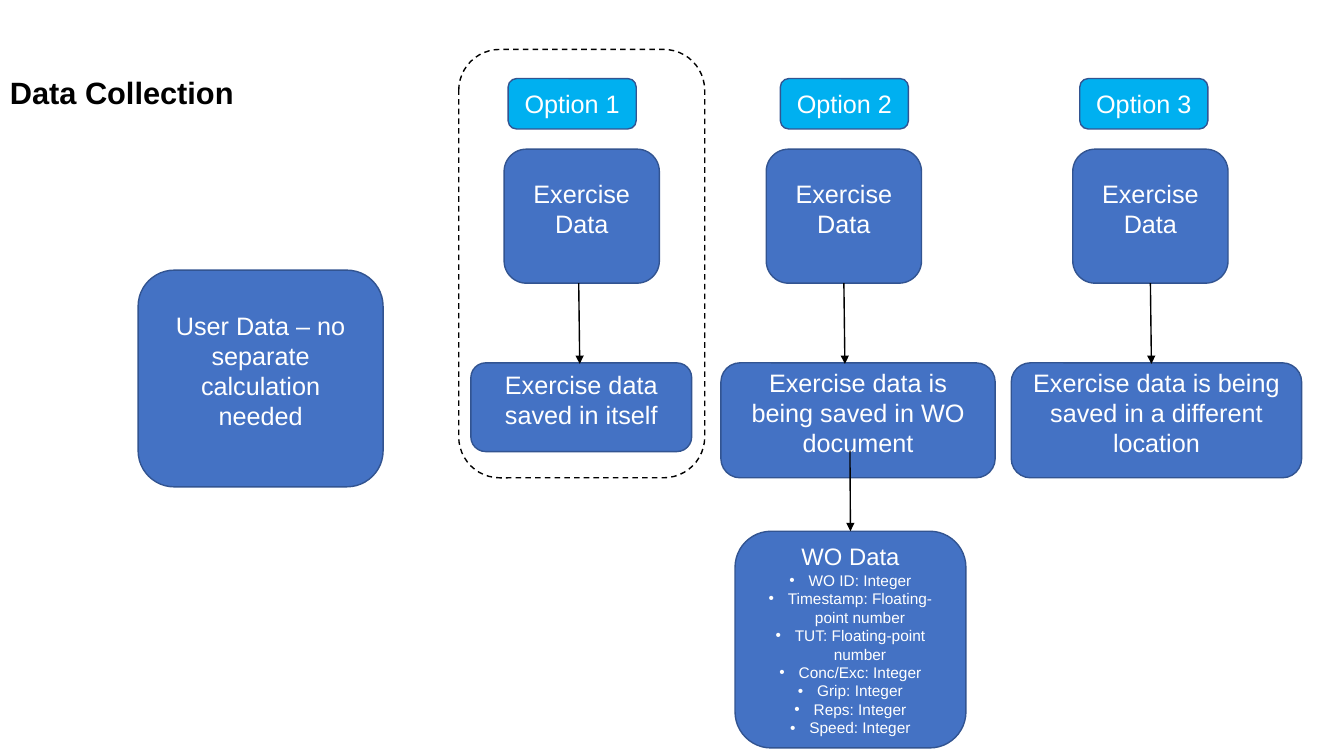
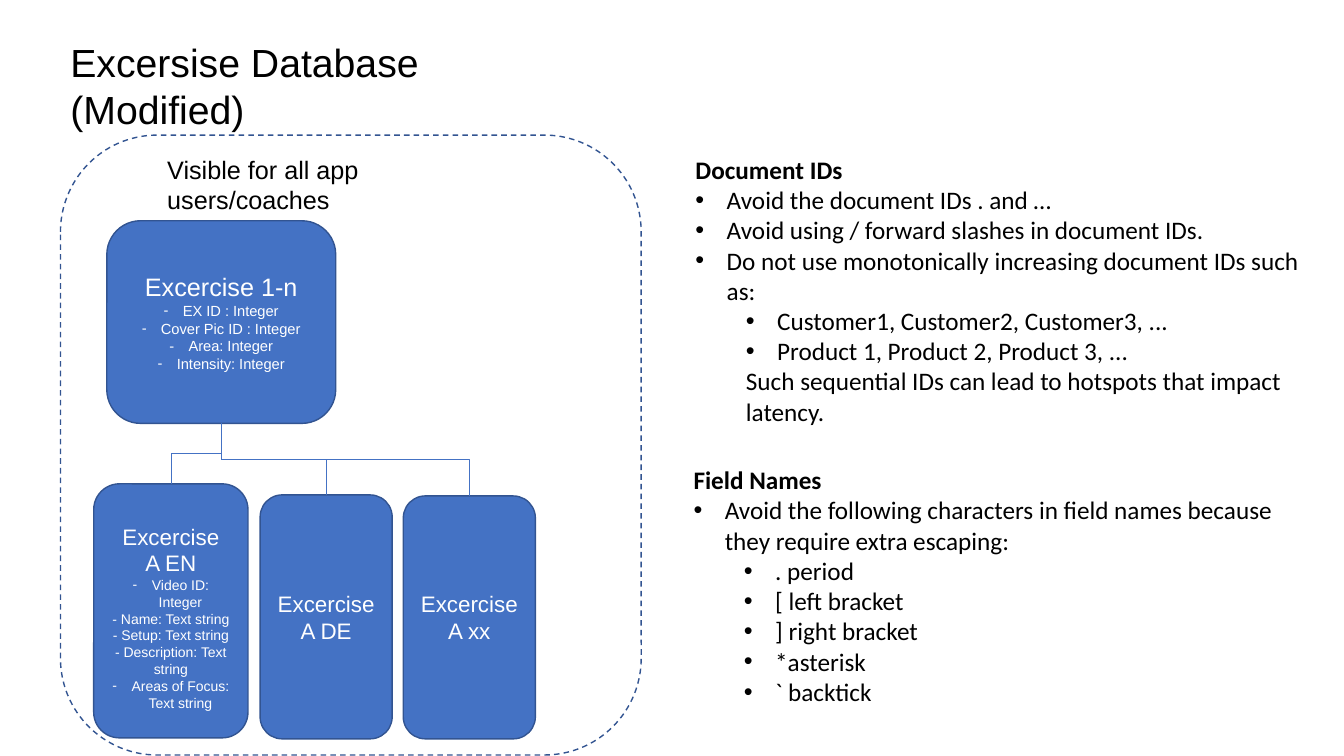
from dataclasses import dataclass

from pptx import Presentation
from pptx.dml.color import RGBColor
from pptx.enum import dml, shapes, text
from pptx.oxml import ns, xmlchemy
from pptx.util import Inches, Pt

BLUE, CYAN, EDGE = "4472C4", "00B0F0", "325491"
BLACK, WHITE = "000000", "FFFFFF"
TOP, BOTTOM = 0, 2
LEFT_ALIGN, CENTER = text.PP_ALIGN.LEFT, text.PP_ALIGN.CENTER
RAISED = (0, 0.16)  # top and bottom insets that lift the text in a box
EVEN = (0.05, 0.05)


@dataclass
class Box:
    x: float
    y: float
    w: float
    h: float


@dataclass
class Para:
    text: str
    size: float = 18
    bold: bool = False
    bullet: str = ""
    margin: float = 0
    hang: float = 0
    level: int = 0


@dataclass
class Option:
    name: str
    tag_x: float
    data_x: float
    arrow_x: float
    joined: bool
    result: str
    result_box: Box


OPTIONS = [
    Option("Option 1", 5.04, 5, 5.74, False, "Exercise data saved in itself",
           Box(4.67, 3.6, 2.19, 0.88)),
    Option("Option 2", 7.74, 7.6, 8.37, True,
           "Exercise data is being saved in WO document",
           Box(7.15, 3.6, 2.72, 1.14)),
    Option("Option 3", 10.71, 10.64, 11.41, True,
           "Exercise data is being saved in a different location",
           Box(10.03, 3.6, 2.88, 1.14)),
]


# Paragraph kinds
def field(words: str, size: float, bullet: str = "-") -> Para:
    return Para(words, size, bullet=bullet, margin=0.19, hang=0.19)


def point(words: str) -> Para:
    return Para(words, bullet="•", margin=0.31, hang=0.31)


def subpoint(words: str) -> Para:
    return Para(words, bullet="•", margin=0.81, hang=0.31, level=1)


# Shared drawing functions
def rgb(color: str) -> RGBColor:
    return RGBColor.from_string(color)


def place(box: Box) -> tuple:
    return Inches(box.x), Inches(box.y), Inches(box.w), Inches(box.h)


def add_child(parent, tag: str, **attrs: str) -> None:
    child = xmlchemy.OxmlElement(tag)
    for name, value in attrs.items():
        child.set(name, value)
    parent.append(child)


def write(tf, paras: list[Para], color: str, font: str, align) -> None:
    tf.word_wrap = True
    for i, para in enumerate(paras):
        p = tf.paragraphs[0] if i == 0 else tf.add_paragraph()
        p.text = para.text
        p.alignment = align
        p.level = para.level
        for r in p.runs:
            r.font.name = font
            r.font.size = Pt(para.size)
            r.font.bold = para.bold
            r.font.color.rgb = rgb(color)
        pPr = p._p.get_or_add_pPr()
        pPr.set("marL", str(Inches(para.margin)))
        pPr.set("indent", str(-Inches(para.hang)))
        if para.bullet:
            add_child(pPr, "a:buFont", typeface="Arial")
            add_child(pPr, "a:buChar", char=para.bullet)


def add_text(s, box: Box, paras: list[Para], font: str = "Arial"):
    tf = s.shapes.add_textbox(*place(box)).text_frame
    write(tf, paras, BLACK, font, LEFT_ALIGN)
    return tf


def add_round(s, box: Box, line: str):
    sp = s.shapes.add_shape(shapes.MSO_SHAPE.ROUNDED_RECTANGLE, *place(box))
    sp.shadow.inherit = False
    sp.line.color.rgb = rgb(line)
    sp.line.width = Pt(1)
    return sp


def add_card(s, box: Box, paras: list[Para], fill: str = BLUE,
             insets: tuple[float, float] = EVEN):
    sp = add_round(s, box, EDGE)
    sp.fill.solid()
    sp.fill.fore_color.rgb = rgb(fill)
    tf = sp.text_frame
    tf.vertical_anchor = text.MSO_ANCHOR.MIDDLE
    tf.margin_top, tf.margin_bottom = map(Inches, insets)
    write(tf, paras, WHITE, "Arial", CENTER)
    return sp


def add_frame(s, box: Box, line: str) -> None:
    sp = add_round(s, box, line)
    sp.fill.background()
    sp.line.dash_style = dml.MSO_LINE.DASH


def add_line(s, kind, start: tuple[float, float], end: tuple[float, float],
             color: str, width: float):
    cxn = s.shapes.add_connector(kind, *map(Inches, start + end))
    cxn.line.color.rgb = rgb(color)
    cxn.line.width = Pt(width)
    add_child(cxn._element.spPr, "a:effectLst")
    return cxn


def add_arrow(s, start: tuple[float, float], end: tuple[float, float]):
    cxn = add_line(s, shapes.MSO_CONNECTOR.STRAIGHT, start, end, BLACK, 1)
    add_child(cxn.line._get_or_add_ln(), "a:tailEnd", type="triangle")
    return cxn


def add_branch(s, parent, child) -> None:
    """Elbow that leaves the parent downwards and enters the child from above."""
    cxn = add_line(s, shapes.MSO_CONNECTOR.ELBOW, (0, 0), (1, 1), BLUE, 0.5)
    cxn.begin_connect(parent, BOTTOM)
    cxn.end_connect(child, TOP)
    x1, y1 = parent.left + parent.width // 2, parent.top + parent.height
    x2, y2 = child.left + child.width // 2, child.top
    drop, run = y2 - y1, abs(x2 - x1)
    # The elbow is turned a quarter, so its width is the drop
    cxn.left, cxn.top = (x1 + x2 - drop) // 2, (y1 + y2 - run) // 2
    cxn.width, cxn.height = drop, run
    xfrm = cxn._element.spPr.find(ns.qn("a:xfrm"))
    for name in ("flipH", "flipV"):
        xfrm.attrib.pop(name, None)
    xfrm.set("rot", str((90 if x2 < x1 else 270) * 60000))
    if x2 > x1:
        xfrm.set("flipH", "1")


# Slide 1
def data_collection(s) -> None:
    title = add_text(s, Box(0, 0.49, 2.76, 0.9),
                     [Para("Data Collection", 22, True)])
    title.vertical_anchor = text.MSO_ANCHOR.MIDDLE
    title.paragraphs[0].line_spacing = 0.9

    add_card(s, Box(1.37, 2.68, 2.43, 2.15),
             [Para("User Data – no separate calculation needed")],
             insets=RAISED)

    # Option columns
    for opt in OPTIONS:
        add_card(s, Box(opt.tag_x, 0.78, 1.27, 0.5), [Para(opt.name)], CYAN)
        data = add_card(s, Box(opt.data_x, 1.48, 1.54, 1.33),
                        [Para("Exercise Data")], insets=RAISED)
        add_card(s, opt.result_box, [Para(opt.result)], insets=RAISED)
        arrow = add_arrow(s, (opt.arrow_x, 2.81), (opt.arrow_x + 0.01, 3.61))
        if opt.joined:
            arrow.begin_connect(data, BOTTOM)

    # Workout record
    fields = ["WO ID: Integer", "Timestamp: Floating-point number",
              "TUT: Floating-point number", "Conc/Exc: Integer",
              "Grip: Integer", "Reps: Integer", "Speed: Integer"]
    record = add_card(s, Box(7.29, 5.27, 2.29, 2.15),
                      [Para("WO Data", 17)]
                      + [field(name, 11, "•") for name in fields])
    add_arrow(s, (8.43, 4.47), (8.43, 5.27)).end_connect(record, TOP)

    add_frame(s, Box(4.55, 0.49, 2.44, 4.25), BLACK)


# Slide 2
def exercise_database(s) -> None:
    # Exercise tree
    fields = ["EX ID : Integer", "Cover Pic ID : Integer", "Area: Integer",
              "Intensity: Integer"]
    parent = add_card(s, Box(1.06, 2.19, 2.27, 2.01),
                      [Para("Excercise 1-n")]
                      + [field(name, 10.5) for name in fields])
    english = [
        Para("Excercise", 16),
        Para("A EN", 16),
        field("Video ID: Integer", 10),
        Para("- Name: Text string", 10),
        Para("- Setup: Text string", 10),
        Para("- Description: Text string", 10),
        field("Areas of Focus: Text string", 10),
    ]
    children = [
        add_card(s, Box(0.93, 4.8, 1.53, 2.52), english, insets=(0.15, 0.03)),
        add_card(s, Box(2.58, 4.91, 1.31, 2.42),
                 [Para("Excercise A DE", 16)]),
        add_card(s, Box(4, 4.92, 1.31, 2.41), [Para("Excercise\vA xx", 16)]),
    ]
    for child in children:
        add_branch(s, parent, child)

    # Headings and frame
    add_text(s, Box(0.6, 0.33, 5.27, 0.57),
             [Para("Excersise Database (Modified)", 28)])
    add_frame(s, Box(0.6, 1.34, 5.76, 6.15), EDGE)
    add_text(s, Box(1.56, 1.48, 3.75, 0.4),
             [Para("Visible for all app users/coaches")])

    # Naming rules
    add_text(s, Box(6.8, 1.48, 6.36, 3.43), [
        Para("Document IDs", bold=True),
        point("Avoid the document IDs . and …"),
        point("Avoid using / forward slashes in document IDs."),
        point("Do not use monotonically increasing document IDs such as:"),
        subpoint("Customer1, Customer2, Customer3, ..."),
        subpoint("Product 1, Product 2, Product 3, ..."),
        Para("Such sequential IDs can lead to hotspots that impact latency.",
             margin=0.5, level=1),
    ], "Calibri")
    characters = [". period", "[ left bracket", "] right bracket",
                  "*asterisk", "` backtick"]
    add_text(s, Box(6.78, 4.56, 5.95, 2.83), [
        Para("Field Names", bold=True),
        point("Avoid the following characters in field names because they "
              "require extra escaping:"),
        *map(subpoint, characters),
    ], "Calibri")


def main() -> None:
    prs = Presentation()
    prs.slide_width, prs.slide_height = Inches(13.33), Inches(7.5)
    for build in (data_collection, exercise_database):
        build(prs.slides.add_slide(prs.slide_layouts[6]))
    prs.save("out.pptx")


if __name__ == "__main__":
    main()
